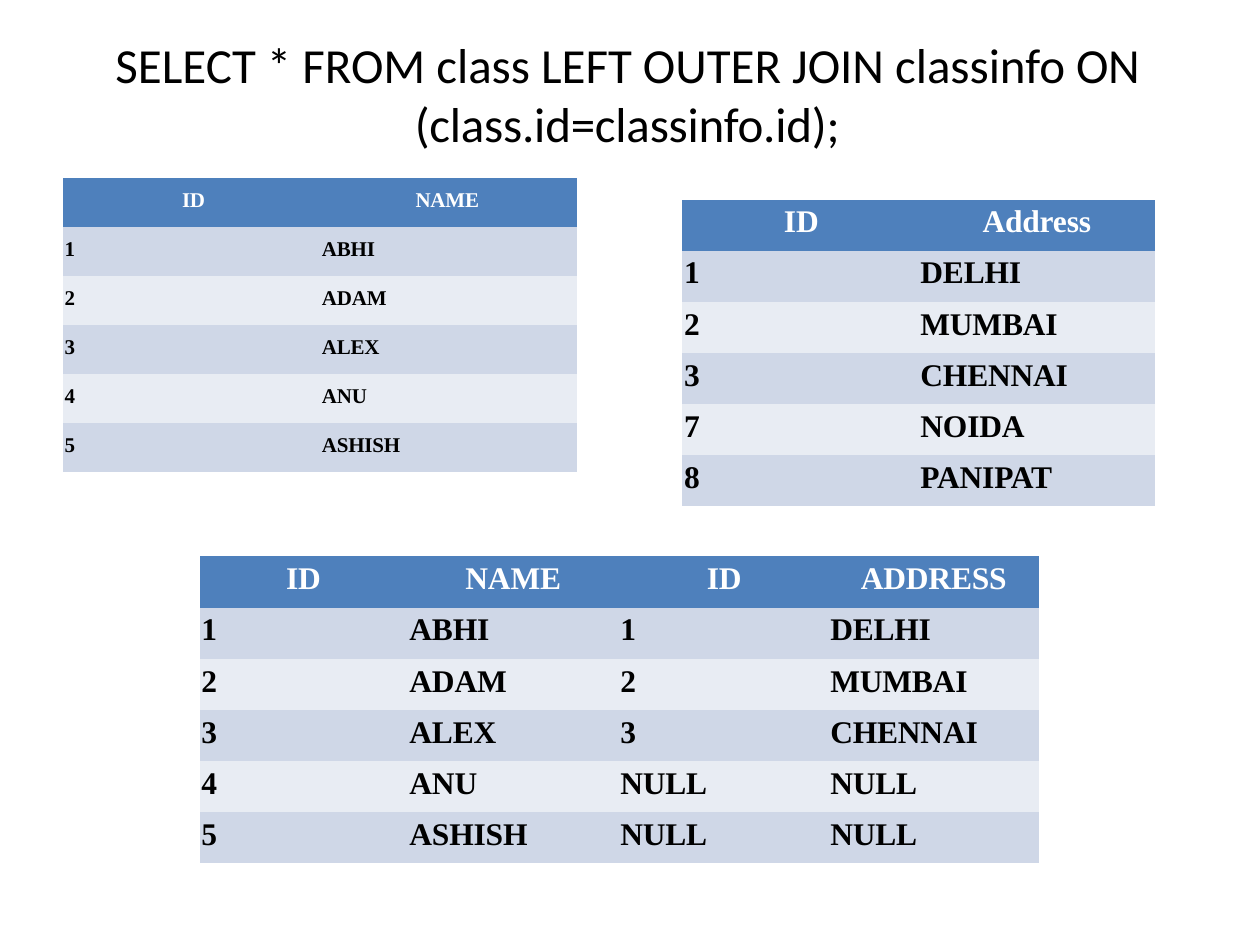
import pptx
import pptx.dml.color
import pptx.util

Pt = pptx.util.Pt
NO_GRID_STYLE = "{2D5ABB26-0587-4C30-8999-92F81FD0307C}"
HEADER_FILL, ODD_FILL, EVEN_FILL = "4E80BC", "CFD7E7", "E8ECF3"


def color(value):
    return pptx.dml.color.RGBColor.from_string(value)


def add_text(paragraph, text, font, size, text_color, bold=False, spacing=-10):
    """Add one run; spacing is in hundredths of a point."""
    run = paragraph.add_run()
    run.text = text
    run.font.name = font
    run.font.size = Pt(size)
    run.font.bold = bold
    run.font.color.rgb = color(text_color)
    run.font._element.set("spc", str(spacing))


presentation = pptx.Presentation()
presentation.slide_width, presentation.slide_height = Pt(720), Pt(540)
slide = presentation.slides.add_slide(presentation.slide_layouts[6])

# Query, with its second line indented to sit centred under the first
query_box = slide.shapes.add_textbox(Pt(65.5), Pt(18), Pt(589), Pt(69))
query_frame = query_box.text_frame
query_frame.word_wrap = True
query_frame.margin_left = query_frame.margin_right = query_frame.margin_bottom = 0
query_frame.margin_top = Pt(2)
query = query_frame.paragraphs[0]
query.line_spacing = Pt(33.5)
query.space_before = Pt(2)
query_indent = query._p.get_or_add_pPr()
query_indent.set("marL", str(Pt(171.5)))
query_indent.set("indent", str(Pt(-171)))
for text, spacing in (
    ("SELECT * FROM class LEFT OUTER JOIN classinfo ", 0),
    ("ON ", -20),
    ("(class.id=classinfo.id);", -10),
):
    add_text(query, text, "Calibri", 28, "000000", spacing=spacing)

# Narrow leading columns let the ID header stand apart from the ID values.
# Indents are per column, first for the header row, then for the body rows.
class_table = dict(
    left=36, top=102, row_height=28, size=12, margin_top=6, space_before=6,
    widths=[37, 77, 83.5, 96.5],
    header_indents=[0, 31, 0, 4], body_indents=[1, 0, 34, 0],
    merge_from=None,
    rows=[
        ["", "ID", "", "NAME"],
        ["1", "", "ABHI", ""],
        ["2", "", "ADAM", ""],
        ["3", "", "ALEX", ""],
        ["4", "", "ANU", ""],
        ["5", "", "ASHISH", ""],
    ],
)
joined_table = dict(
    left=114, top=318, row_height=29.2, size=18, margin_top=3, space_before=2.7,
    widths=[29.5, 65.5, 129, 111.5, 144.5],
    header_indents=[0, 20, 57, 66, 42.5], body_indents=[1, 0, 25, 16.5, 25],
    merge_from=None,
    rows=[
        ["", "ID", "NAME", "ID", "ADDRESS"],
        ["1", "", "ABHI", "1", "DELHI"],
        ["2", "", "ADAM", "2", "MUMBAI"],
        ["3", "", "ALEX", "3", "CHENNAI"],
        ["4", "", "ANU", "NULL", "NULL"],
        ["5", "", "ASHISH", "NULL", "NULL"],
    ],
)
classinfo_table = dict(
    left=390, top=114, row_height=29.2, size=18, margin_top=3, space_before=2.7,
    widths=[34, 72.5, 163.5],
    header_indents=[0, 24, 65], body_indents=[1, 102, 0],
    merge_from=1,
    rows=[
        ["", "ID", "Address"],
        ["1", "DELHI", ""],
        ["2", "MUMBAI", ""],
        ["3", "CHENNAI", ""],
        ["7", "NOIDA", ""],
        ["8", "PANIPAT", ""],
    ],
)

for data in (class_table, joined_table, classinfo_table):
    rows, widths = data["rows"], data["widths"]
    frame = slide.shapes.add_table(
        len(rows), len(widths), Pt(data["left"]), Pt(data["top"]),
        Pt(sum(widths)), Pt(data["row_height"] * len(rows)),
    )
    table = frame.table
    table._tbl.tblPr.find(pptx.oxml.ns.qn("a:tableStyleId")).text = NO_GRID_STYLE
    for column, width in zip(table.columns, widths):
        column.width = Pt(width)

    for r, values in enumerate(rows):
        table.rows[r].height = Pt(data["row_height"])
        is_header = r == 0
        fill = HEADER_FILL if is_header else (ODD_FILL if r % 2 else EVEN_FILL)
        indents = data["header_indents" if is_header else "body_indents"]
        if data["merge_from"] is not None and not is_header:
            table.cell(r, data["merge_from"]).merge(table.cell(r, len(widths) - 1))
        for c, (value, indent) in enumerate(zip(values, indents)):
            cell = table.cell(r, c)
            cell.fill.solid()
            cell.fill.fore_color.rgb = color(fill)
            cell.margin_left = cell.margin_right = cell.margin_bottom = 0
            cell.margin_top = Pt(data["margin_top"])
            if value:
                paragraph = cell.text_frame.paragraphs[0]
                paragraph.space_before = Pt(data["space_before"])
                paragraph._p.get_or_add_pPr().set("marL", str(Pt(indent)))
                add_text(paragraph, value, "Times New Roman", data["size"],
                         "FFFFFF" if is_header else "000000", bold=True)

presentation.save("out.pptx")
